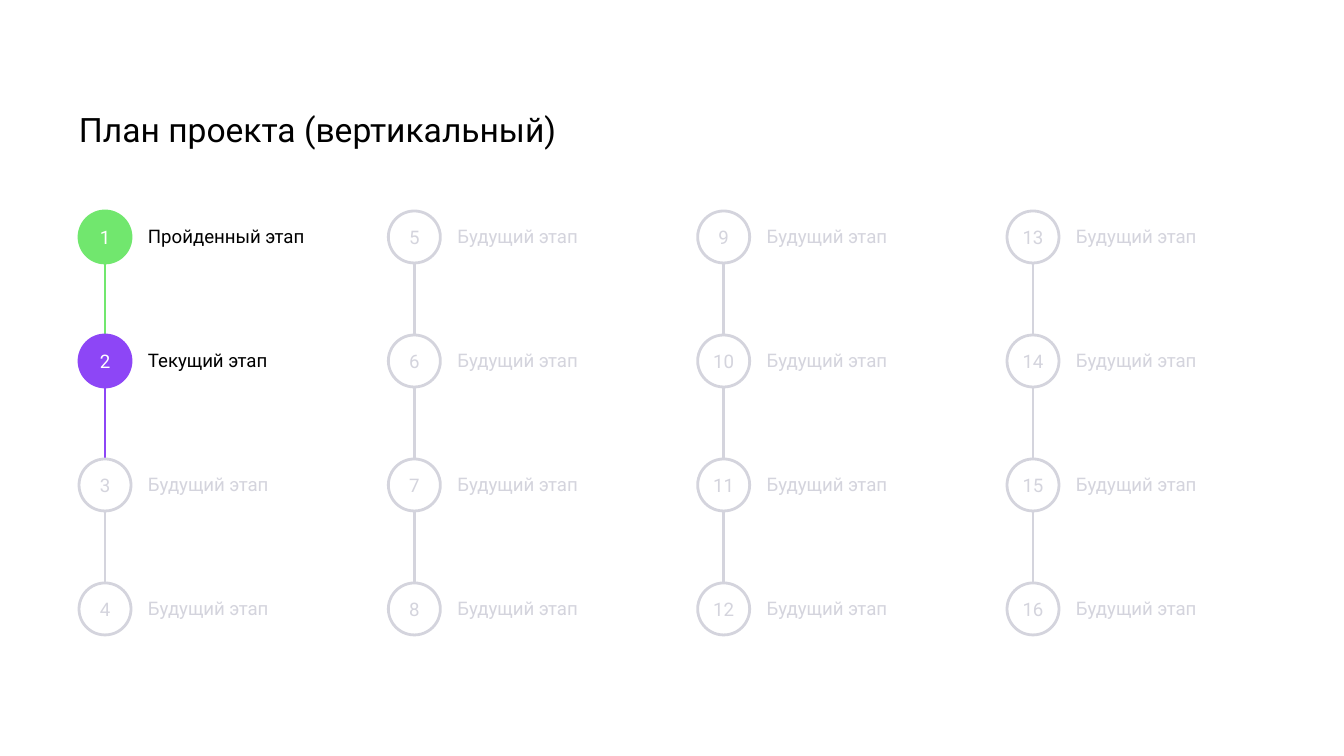
from dataclasses import dataclass

from lxml.etree import SubElement
from pptx import Presentation
from pptx.dml.color import RGBColor
from pptx.enum.shapes import MSO_CONNECTOR, MSO_SHAPE
from pptx.enum.text import MSO_ANCHOR, MSO_AUTO_SIZE, PP_ALIGN
from pptx.oxml.ns import qn
from pptx.util import Emu, Pt


@dataclass(frozen=True)
class Theme:
    font: str = "Roboto"
    ink: str = "000000"
    paper: str = "FFFFFF"
    done: str = "71E76E"
    now: str = "8D46F6"
    mute: str = "D4D4DD"
    head: int = 18
    body: int = 10
    rule: float = 1.5


@dataclass(frozen=True)
class State:
    label: str
    line: str
    fill: str
    digit: str
    text: str


T = Theme()
DONE = State("Пройденный этап", T.done, T.done, T.paper, T.ink)
NOW = State("Текущий этап", T.now, T.now, T.paper, T.ink)
NEXT = State("Будущий этап", T.mute, T.paper, T.mute, T.mute)

# Lengths in px
WIDE, HIGH = 1344, 756
COLS, ROWS = 4, 4
DOT = 52      # circle diameter
STEP = 124    # distance between stages
INDENT = 69   # label offset from the circle's left edge
TRACK = 257   # width of one column


def px(n):
    return Emu(round(n * 914400 / 134.4))


def color(code):
    return RGBColor.from_string(code)


def write(frame, text, size, tint, align=PP_ALIGN.LEFT):
    frame.margin_left = frame.margin_right = 0
    frame.margin_top = frame.margin_bottom = 0
    frame.word_wrap = True
    frame.auto_size = MSO_AUTO_SIZE.NONE
    frame.vertical_anchor = MSO_ANCHOR.MIDDLE
    para = frame.paragraphs[0]
    para.alignment = align
    run = para.add_run()
    run.text = text
    run.font.name = T.font
    run.font.size = Pt(size)
    run.font.color.rgb = color(tint)


def add_title(slide, text, x, y, w, h):
    title = slide.shapes.title
    title.left, title.top, title.width, title.height = map(px, (x, y, w, h))
    write(title.text_frame, text, T.head, T.ink)


def add_link(slide, x, top, end, tint):
    link = slide.shapes.add_connector(
        MSO_CONNECTOR.STRAIGHT, px(x), px(top), px(x), px(end))
    link.line.color.rgb = color(tint)
    link.line.width = Pt(T.rule)
    SubElement(link._element.spPr, qn("a:effectLst"))


def add_stage(slide, num, state, x, y):
    # Numbered circle
    dot = slide.shapes.add_shape(
        MSO_SHAPE.OVAL, px(x), px(y), px(DOT), px(DOT))
    dot.shadow.inherit = False
    dot.fill.solid()
    dot.fill.fore_color.rgb = color(state.fill)
    dot.line.color.rgb = color(state.line)
    dot.line.width = Pt(T.rule)
    write(dot.text_frame, str(num), T.body, state.digit, PP_ALIGN.CENTER)
    # Stage label
    label = slide.shapes.add_textbox(
        px(x + INDENT), px(y), px(TRACK - INDENT), px(DOT - 2))
    write(label.text_frame, state.label, T.body, state.text)


def add_track(slide, first, states, x, y):
    # Links lie behind the circles and take the colour of the stage above
    for row, state in enumerate(states[:-1]):
        top = y + row * STEP
        add_link(slide, x + DOT / 2, top + DOT, top + STEP, state.line)
    for row, state in enumerate(states):
        add_stage(slide, first + row, state, x, y + row * STEP)


def add_plan(slide, states, x, y, w):
    # Columns spread evenly over the full width
    pitch = (w - TRACK) / (COLS - 1)
    for col in range(COLS):
        start = col * ROWS
        add_track(slide, start + 1, states[start:start + ROWS],
                  x + col * pitch, y)


def main():
    deck = Presentation()
    deck.slide_width, deck.slide_height = px(WIDE), px(HIGH)
    slide = deck.slides.add_slide(deck.slide_layouts[5])
    slide.background.fill.solid()
    slide.background.fill.fore_color.rgb = color(T.paper)
    add_title(slide, "План проекта (вертикальный)", 79, 106, 1185, 47)
    states = [DONE, NOW] + [NEXT] * (COLS * ROWS - 2)
    add_plan(slide, states, 79, 211, 1185)
    deck.save("out.pptx")


if __name__ == "__main__":
    main()
